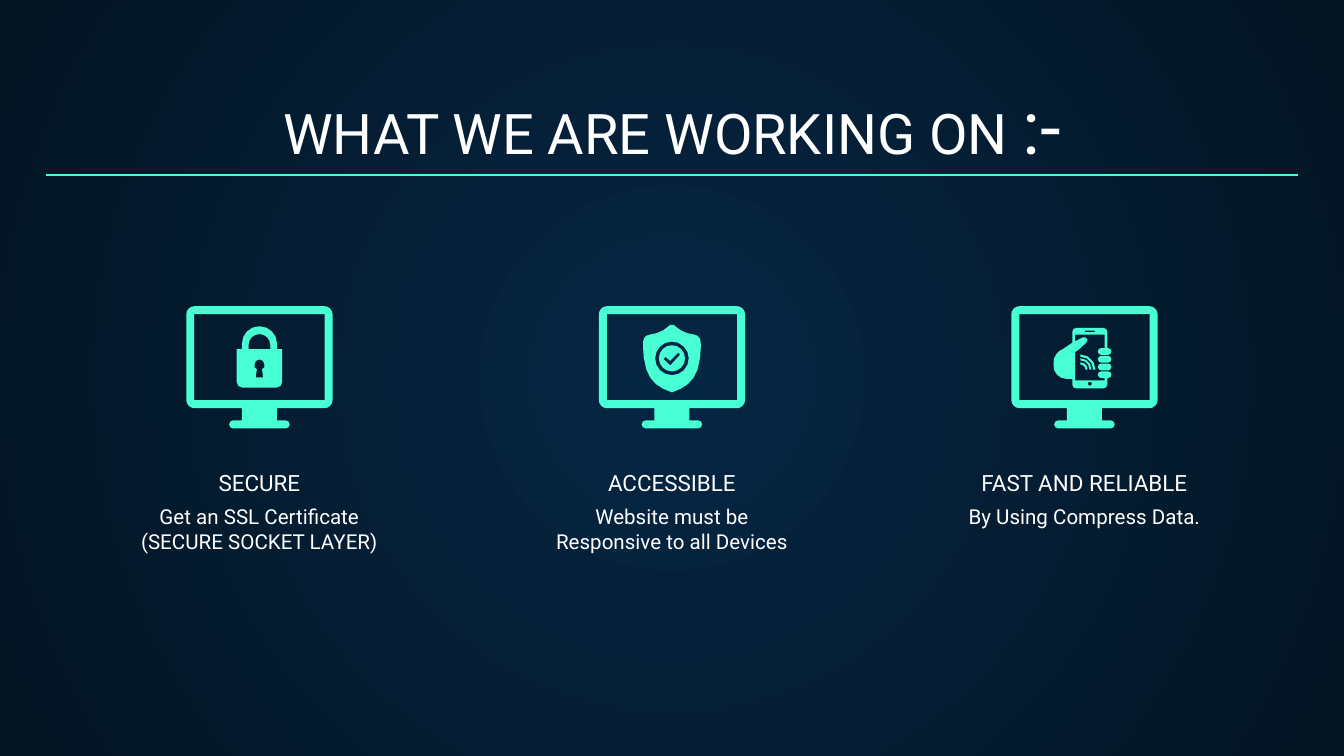
from math import cos, hypot, pi, sin

from lxml.etree import SubElement
from pptx import Presentation
from pptx.dml.color import RGBColor
from pptx.enum.shapes import MSO_CONNECTOR as Connector
from pptx.enum.text import MSO_ANCHOR as Anchor, MSO_AUTO_SIZE as AutoSize, PP_ALIGN as Align
from pptx.oxml.ns import qn
from pptx.util import Pt

MINT, WHITE = "48FFD5", "FFFFFF"
NIGHT_CENTRE, NIGHT_EDGE = "052643", "041523"
FIRST_CENTRE, COLUMN_STEP, ICON_TOP = 139, 221, 164
FINGER_TOP, FINGER_STEP, FINGER_HEIGHT = 22.5, 4.15, 3.6


def color(hex_code):
    return RGBColor.from_string(hex_code)


def bezier(p0, p1, p2, p3, steps):
    """Points on a cubic curve, without its first one."""
    points = []
    for step in range(1, steps + 1):
        t = step / steps
        weights = ((1 - t) ** 3, 3 * t * (1 - t) ** 2, 3 * t * t * (1 - t), t ** 3)
        points.append(tuple(sum(w * p[axis] for w, p in zip(weights, (p0, p1, p2, p3)))
                            for axis in (0, 1)))
    return points


def toward(start, end, distance):
    share = distance / hypot(end[0] - start[0], end[1] - start[1])
    return tuple(a + (b - a) * share for a, b in zip(start, end))


def rounded(*corners):
    """Closed outline through (x, y, radius) corners."""
    points = []
    for index, (x, y, radius) in enumerate(corners):
        before, after = corners[index - 1][:2], corners[(index + 1) % len(corners)][:2]
        corner = (x, y)
        if radius == 0:
            points.append(corner)
            continue
        enter, leave = toward(corner, before, radius), toward(corner, after, radius)
        points += [enter] + bezier(enter, toward(corner, before, radius * 0.45),
                                   toward(corner, after, radius * 0.45), leave,
                                   2 if radius < 3 else 4)
    return points


def box(left, top, right, bottom, radius=0):
    return rounded((left, top, radius), (right, top, radius),
                   (right, bottom, radius), (left, bottom, radius))


def arc(x, y, radius, start, end, steps):
    angles = [start + (end - start) * step / steps for step in range(steps + 1)]
    return [(x + radius * cos(angle), y + radius * sin(angle)) for angle in angles]


def circle(x, y, radius, steps=16):
    return arc(x, y, radius, 0, 2 * pi, steps)[:-1]


def monitor():
    edge = rounded(
        (-39.2, 0, 4.5), (39.2, 0, 4.5), (39.2, 54.7, 4.5), (9.4, 54.7, 0),
        (9.4, 61.2, 0), (16.2, 61.2, 2.1), (16.2, 65.5, 2.1), (-16.2, 65.5, 2.1),
        (-16.2, 61.2, 2.1), (-9.4, 61.2, 0), (-9.4, 54.7, 0), (-39.2, 54.7, 4.5))
    return [edge, box(-34.9, 4.3, 34.9, 50.4)]


def padlock():
    body = rounded(
        (-12.2, 23, 0), (-9.4, 23, 0), (-9.4, 10.8, 9.3), (9.4, 10.8, 9.3),
        (9.4, 23, 0), (12.2, 23, 0), (12.2, 43.6, 2.9), (-12.2, 43.6, 2.9))
    shackle_gap = rounded((-5.8, 15, 5.7), (5.8, 15, 5.7), (5.8, 23, 0), (-5.8, 23, 0))
    keyhole = rounded(
        (-2.6, 28.6, 2.5), (2.6, 28.6, 2.5), (2.6, 32.8, 0), (1.4, 33.8, 0),
        (2, 38.2, 0), (-2, 38.2, 0), (-1.4, 33.8, 0), (-2.6, 32.8, 0))
    return [body, shackle_gap, keyhole]


def shield():
    half = [(0, 10)]
    for curve in (((1, 10), (1.3, 10.1), (1.6, 10.6), 2),
                  ((4.5, 13.5), (8, 14.8), (11.9, 15.3), 3),
                  ((13.8, 15.4), (15.3, 17), (15.4, 18.9), 3),
                  ((15.5, 20.3), (15.8, 27.5), (13.7, 34), 3),
                  ((11.5, 40.5), (7, 44), (0, 46.2), 4)):
        half += bezier(half[-1], *curve)
    mirrored = [(-x, y) for x, y in reversed(half[1:-1])]
    return [half + mirrored, circle(0, 28, 9)]


def check_badge():
    check = [(3.4, 24.9), (4.5, 26), (-0.9, 31.8), (-4.5, 28.5), (-3.4, 27.2), (-1, 29.4)]
    return [circle(0, 28, 7), check]


def phone_in_hand():
    first_bottom = FINGER_TOP + FINGER_HEIGHT
    last_top = FINGER_TOP + 3 * FINGER_STEP
    last_bottom = last_top + FINGER_HEIGHT
    tip = 1.7
    frame = rounded(
        (-6.5, 11.7, 2), (12.2, 11.7, 2), (12.2, FINGER_TOP, 0),
        (14.4, FINGER_TOP, tip), (14.4, first_bottom, tip),
        (7.2, first_bottom, tip), (7.2, FINGER_TOP, tip), (10.8, FINGER_TOP, 0),
        (10.8, 15.3, 0), (-5, 15.3, 0), (-5, 18.9, 0),
        (0.6, 16, 1.8), (2, 18.6, 1.2), (-2.9, 23.2, 0), (-5, 24.6, 0),
        (-5, 39.8, 0), (10.8, 39.8, 0), (10.8, last_bottom, 0),
        (7.2, last_bottom, tip), (7.2, last_top, tip),
        (14.4, last_top, tip), (14.4, last_bottom, tip), (12.2, last_bottom, 0),
        (12.2, 44.1, 2), (-6.5, 44.1, 2), (-6.5, 39, 0),
        (-16.6, 39, 7), (-16.6, 25, 5), (-11.5, 23, 0), (-6.5, 19.6, 0))
    fingers = [box(7.2, top, 14.4, top + FINGER_HEIGHT, tip)
               for top in (FINGER_TOP + FINGER_STEP, FINGER_TOP + 2 * FINGER_STEP)]
    signal = [arc(-2.2, 34, outer, -pi / 2, 0, 3) + arc(-2.2, 34, inner, 0, -pi / 2, 3)
              for inner, outer in ((2.7, 3.9), (4.9, 6), (6.9, 8.1))]
    return [frame, box(0.2, 13.1, 5.4, 13.9), circle(2.9, 41.6, 1.1, 8), *fingers, *signal]


class SlideWriter:
    font = "Roboto"

    def __init__(self, slide):
        self.slide = slide

    def background(self, centre, edge):
        """Fill the slide with a gradient that runs outward in circles."""
        fill = self.slide.background.fill
        fill.gradient()
        for stop, hex_code in zip(fill.gradient_stops, (centre, edge)):
            stop.color.rgb = color(hex_code)
        gradient = self.slide.element.find(".//" + qn("a:gradFill"))
        gradient.remove(gradient.find(qn("a:lin")))
        rings = SubElement(gradient, qn("a:path"), {"path": "circle"})
        SubElement(rings, qn("a:fillToRect"), dict.fromkeys("ltrb", "50000"))

    def text(self, left, top, width, height, size, lines, anchor=Anchor.TOP):
        """Add centred lines and return the last paragraph."""
        frame = self.slide.shapes.add_textbox(
            Pt(left), Pt(top), Pt(width), Pt(height)).text_frame
        frame.word_wrap, frame.auto_size = True, AutoSize.NONE
        frame.vertical_anchor = anchor
        frame.margin_left = frame.margin_right = Pt(7.2)
        frame.margin_top = frame.margin_bottom = Pt(7.2)
        frame.text = "\n".join(lines)
        for paragraph in frame.paragraphs:
            paragraph.alignment = Align.CENTER
            paragraph.font.name, paragraph.font.size = self.font, Pt(size)
            paragraph.font.color.rgb = color(WHITE)
        return paragraph

    def outline(self, centre, top, contours):
        """Fill one freeform; inner contours are holes."""
        placed = [[(Pt(centre + x), Pt(top + y)) for x, y in contour] for contour in contours]
        builder = self.slide.shapes.build_freeform(*placed[0][0])
        for index, contour in enumerate(placed):
            if index:
                builder.move_to(*contour[0])
            builder.add_line_segments(contour[1:], close=True)
        shape = builder.convert_to_shape()
        shape.shadow.inherit = False
        shape.fill.solid()
        shape.fill.fore_color.rgb = color(MINT)
        shape.line.fill.background()

    def rule(self, left, right, y):
        line = self.slide.shapes.add_connector(
            Connector.STRAIGHT, Pt(left), Pt(y), Pt(right), Pt(y))
        line.line.color.rgb, line.line.width = color(MINT), Pt(0.75)
        SubElement(line.element.spPr, qn("a:effectLst"))


def main():
    presentation = Presentation()
    presentation.slide_width, presentation.slide_height = Pt(720), Pt(405)
    writer = SlideWriter(presentation.slides.add_slide(presentation.slide_layouts[6]))
    writer.background(NIGHT_CENTRE, NIGHT_EDGE)

    title = writer.text(24.5, 50.4, 671, 47.5, 30, ["WHAT WE ARE WORKING ON "], Anchor.BOTTOM)
    ending = title.add_run()
    ending.text, ending.font.size = ":-", Pt(40)
    writer.rule(24.5, 695.5, 93.75)

    columns = (
        ("SECURE", ["Get an SSL Certificate", "(SECURE SOCKET LAYER)"], [padlock()]),
        ("ACCESSIBLE", ["Website must be Responsive to all Devices"],
         [check_badge(), shield()]),
        ("FAST AND RELIABLE", ["By Using Compress Data."], [phone_in_hand()]),
    )
    for index, (heading, lines, symbols) in enumerate(columns):
        centre = FIRST_CENTRE + index * COLUMN_STEP
        writer.text(centre - 74.5, 262.8, 149, 39.6, 11, lines)
        writer.text(centre - 81.75, 257.8, 163.5, 15.1, 12, [heading], Anchor.BOTTOM)
        for contours in [monitor()] + symbols:
            writer.outline(centre, ICON_TOP, contours)

    presentation.save("out.pptx")


if __name__ == "__main__":
    main()
